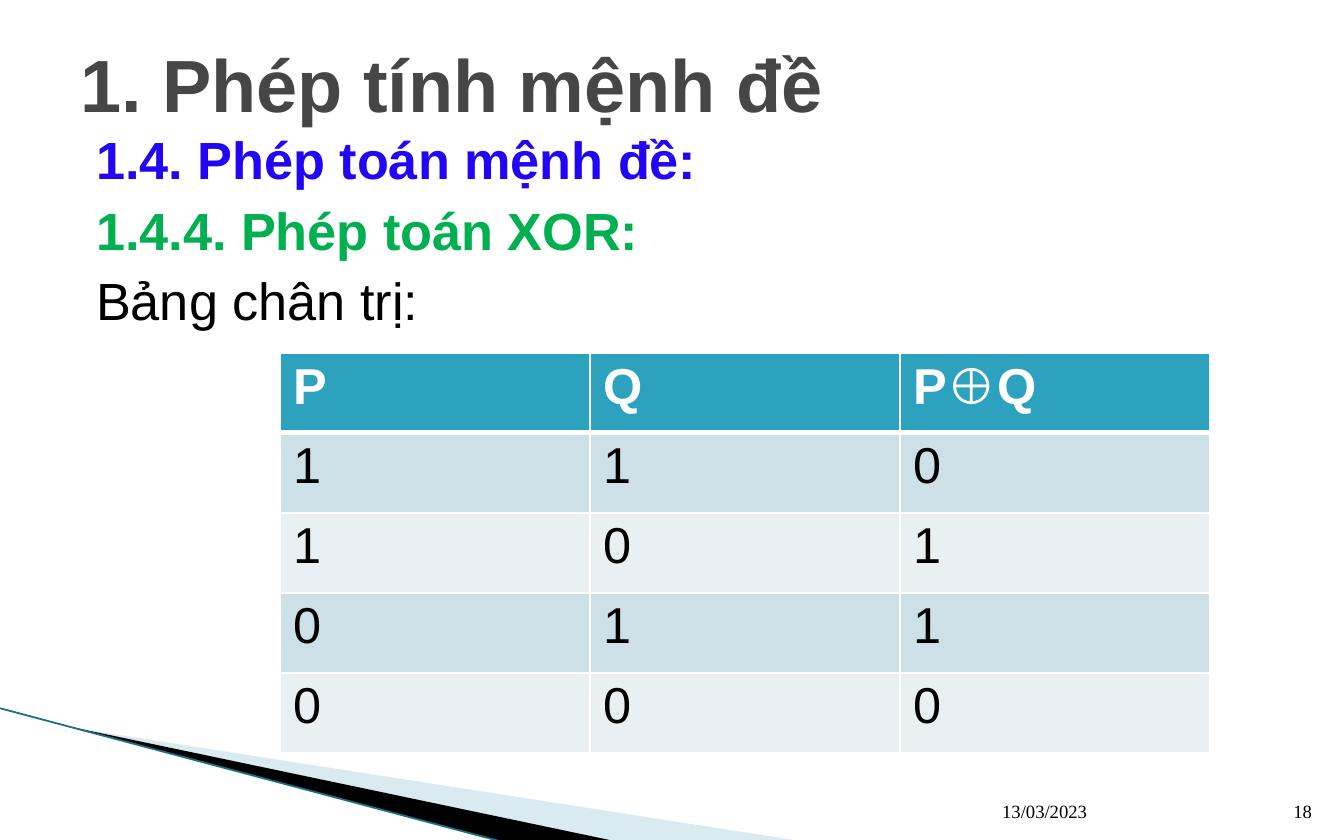
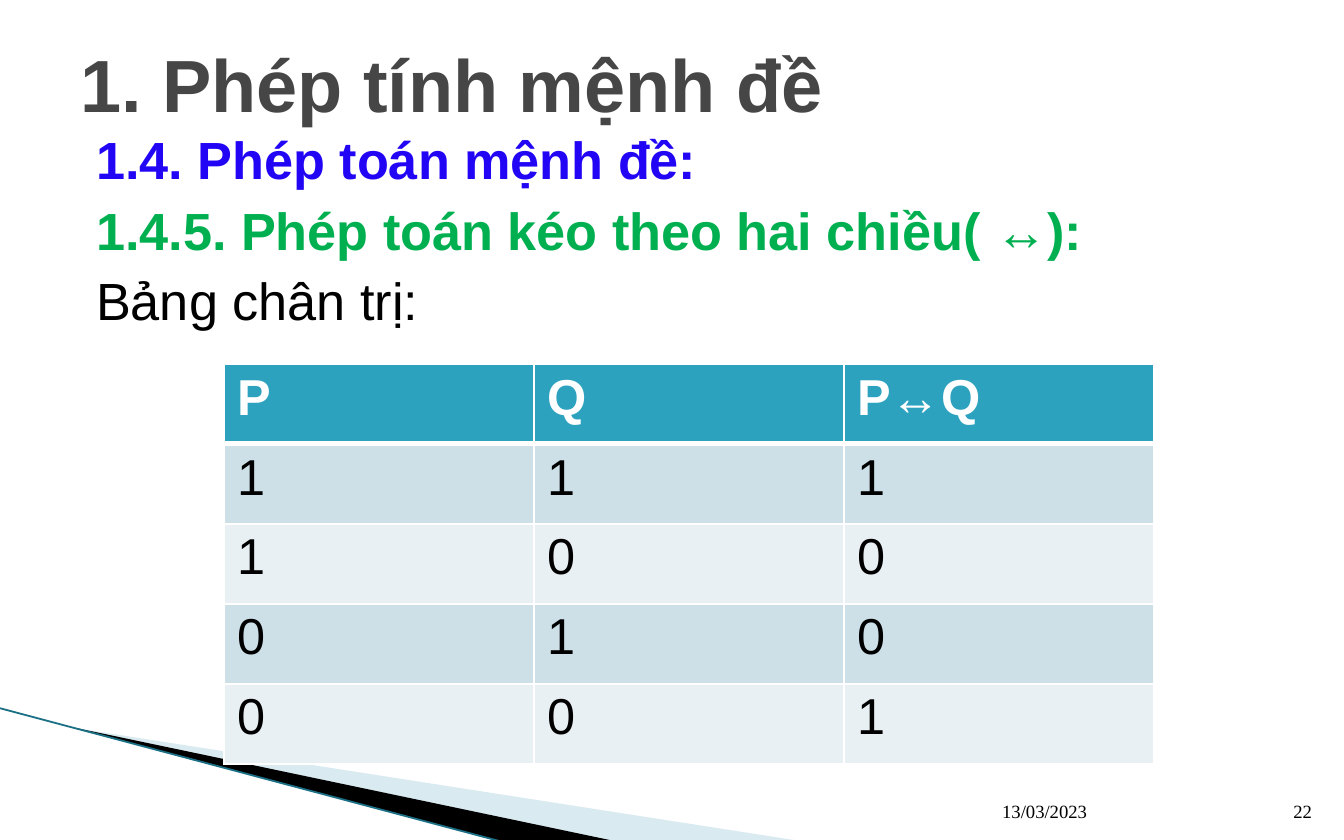
"""Build two slides with truth tables of logical operations."""
from lxml import etree
from pptx import Presentation, util as u
from pptx.dml.color import RGBColor
from pptx.enum import shapes, text
from pptx.oxml.ns import qn

SCALE = 914400 / 134.4
WHITE = RGBColor(0xFF, 0xFF, 0xFF)
BLACK = RGBColor(0, 0, 0)
GREY = RGBColor(0x46, 0x46, 0x46)
BLUE = RGBColor(0x22, 0x05, 0xF5)
GREEN = RGBColor(0x00, 0xB0, 0x50)
TEAL = RGBColor(0x2D, 0xA2, 0xBF)
DARK_TEAL = RGBColor(0x1B, 0x70, 0x85)
PALE_BLUE = RGBColor(0xA0, 0xCB, 0xDC)
ROW_FILLS = [RGBColor(0xCD, 0xE0, 0xE8), RGBColor(0xE8, 0xF0, 0xF4)]

TITLE = "1. Phép tính mệnh đề"
SECTION = "1.4. Phép toán mệnh đề:"
CAPTION = "Bảng chân trị:"
DATE = "13/03/2023"
INPUTS = [("1", "1"), ("1", "0"), ("0", "1"), ("0", "0")]
PAGES = [
    {"heading": "1.4.4. Phép toán XOR:", "formula": "P⊕Q",
     "results": "0110", "corner": (280, 353), "number": "18"},
    {"heading": "1.4.5. Phép toán kéo theo hai chiều( ↔):", "formula": "P↔Q",
     "results": "1001", "corner": (224, 364), "number": "22"},
]

TITLE_FONT = {"name": "Arial", "size": u.Pt(39.6), "bold": True}
BODY_FONT = {"name": "Arial", "size": u.Pt(28)}
CELL_FONT = {"name": "Arial", "size": u.Pt(27)}
FOOTER_FONT = {"name": "Times New Roman", "size": u.Pt(10)}

BANDS = [
    ([(74, 728), (800, 841), (613, 841)], PALE_BLUE, 40),
    ([(71, 727), (614, 841), (500, 841), (73, 728)], BLACK, 100),
]
BAND_EDGE = (-1, 708, 499, 841)
COLUMN_WIDTH, ROW_HEIGHT = 310, 80


def px(*lengths):
    return [u.Emu(round(length * SCALE)) for length in lengths]


def apply(target, values):
    for name, value in values.items():
        setattr(target, name, value)


def write(para, words, color, font, **extra):
    span = para.add_run()
    span.text = words
    apply(span.font, {**font, **extra})
    span.font.color.rgb = color


def add_text(page, place, lines, font, anchor, align=None, indent=0, before=0):
    frame = page.shapes.add_textbox(*px(*place)).text_frame
    apply(frame, {"word_wrap": True, "vertical_anchor": anchor})
    for index, (words, color, bold) in enumerate(lines):
        para = frame.add_paragraph() if index else frame.paragraphs[0]
        apply(para, {"alignment": align, "space_before": u.Pt(before)})
        if indent:
            para._p.get_or_add_pPr().set("marL", str(px(indent)[0]))
        write(para, words, color, font, bold=bold)


def add_bands(page):
    for points, color, opacity in BANDS:
        builder = page.shapes.build_freeform(*points[0], scale=SCALE)
        builder.add_line_segments(points[1:], close=True)
        band = builder.convert_to_shape()
        band.shadow.inherit = False
        band.fill.solid()
        band.fill.fore_color.rgb = color
        band.line.fill.background()
        if opacity < 100:
            tint = band._element.spPr.find(qn("a:solidFill"))[0]
            etree.SubElement(tint, qn("a:alpha"), val=str(opacity * 1000))
    edge = page.shapes.add_connector(shapes.MSO_CONNECTOR.STRAIGHT, *px(*BAND_EDGE))
    edge.line.color.rgb = DARK_TEAL
    edge.line.width = u.Pt(0.95)
    etree.SubElement(edge._element.spPr, qn("a:effectLst"))


def set_borders(cell, top, bottom):
    props = cell._tc.get_or_add_tcPr()
    sides = {"lnL": 1, "lnR": 1, "lnT": top, "lnB": bottom}
    for index, (side, width) in enumerate(sides.items()):
        border = etree.Element(qn("a:" + side), w=str(u.Pt(width)))
        fill = etree.SubElement(border, qn("a:solidFill"))
        etree.SubElement(fill, qn("a:srgbClr"), val=str(WHITE))
        props.insert(index, border)


def add_truth_table(page, formula, results, corner):
    rows = [("P", "Q", formula)]
    rows += [(*pair, result) for pair, result in zip(INPUTS, results)]
    size = (COLUMN_WIDTH * len(rows[0]), ROW_HEIGHT * len(rows))
    table = page.shapes.add_table(len(rows), len(rows[0]), *px(*corner, *size)).table
    for r, row in enumerate(rows):
        header = r == 0
        for c, words in enumerate(row):
            cell = table.cell(r, c)
            apply(cell, {"margin_top": u.Inches(0.04), "margin_bottom": u.Inches(0.04)})
            cell.fill.solid()
            cell.fill.fore_color.rgb = TEAL if header else ROW_FILLS[(r - 1) % 2]
            write(cell.text_frame.paragraphs[0], words,
                  WHITE if header else BLACK, CELL_FONT, bold=header)
            set_borders(cell, top=3 if r == 1 else 1, bottom=3 if header else 1)


def add_page(deck, content):
    page = deck.slides.add_slide(deck.slide_layouts[6])
    add_bands(page)
    body = [(SECTION, BLUE, True), (content["heading"], GREEN, True),
            (CAPTION, BLACK, False)]
    add_text(page, (67, 121, 1210, 614), body, BODY_FONT,
             text.MSO_ANCHOR.TOP, indent=16, before=4)
    add_text(page, (67, 34, 1210, 97), [(TITLE, GREY, True)], TITLE_FONT,
             text.MSO_ANCHOR.MIDDLE)
    add_truth_table(page, content["formula"], content["results"], content["corner"])
    add_text(page, (989, 785, 282, 44), [(DATE, BLACK, False)], FOOTER_FONT,
             text.MSO_ANCHOR.BOTTOM)
    add_text(page, (1271, 785, 54, 44), [(content["number"], BLACK, False)],
             FOOTER_FONT, text.MSO_ANCHOR.BOTTOM, align=text.PP_ALIGN.RIGHT)


def main():
    deck = Presentation()
    deck.slide_width, deck.slide_height = px(1344, 840)
    for content in PAGES:
        add_page(deck, content)
    deck.save("out.pptx")


if __name__ == "__main__":
    main()
